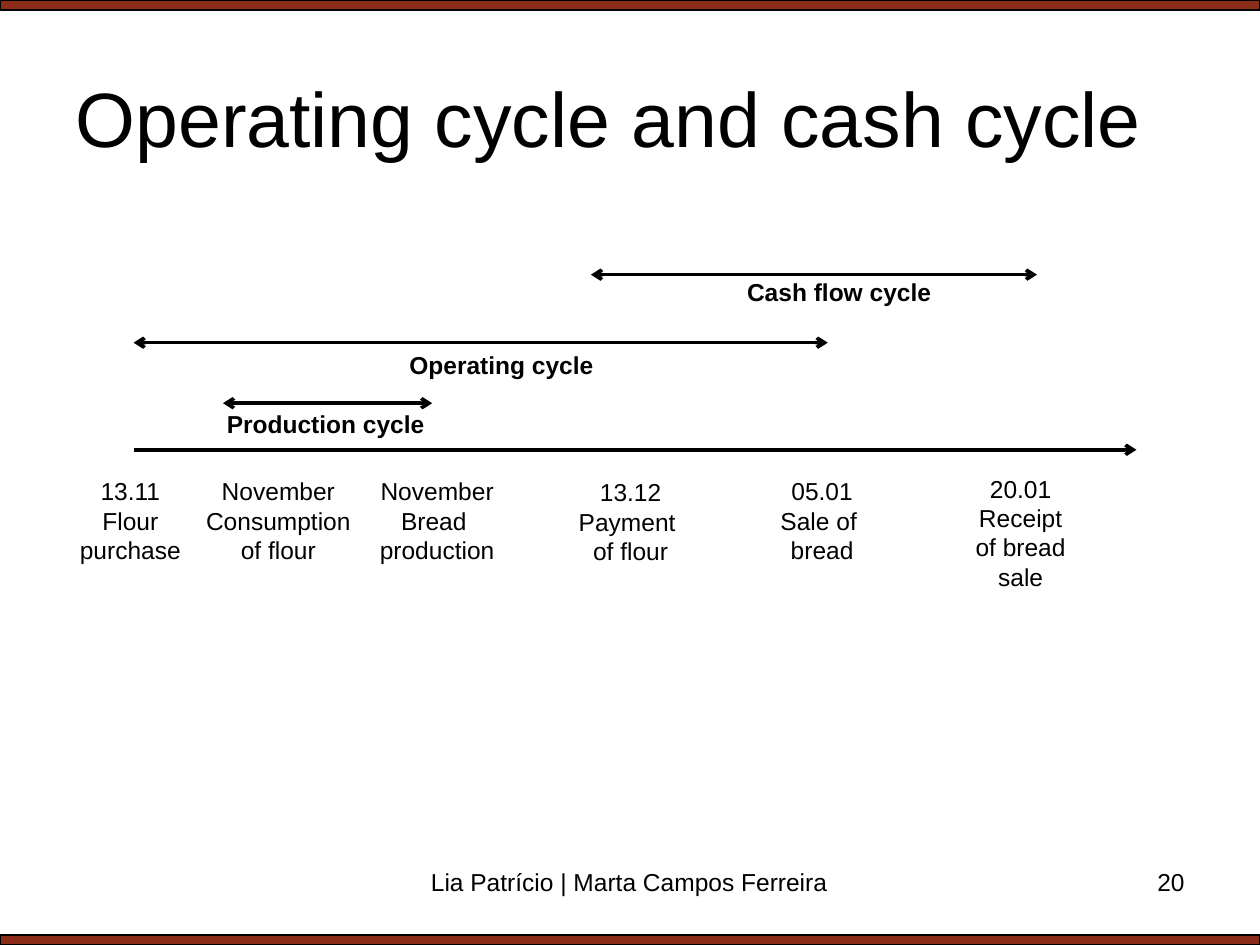
import pptx
import pptx.util
import pptx.dml.color
import pptx.enum.text
import pptx.enum.shapes
import pptx.oxml.ns
from lxml import etree

ALIGN = pptx.enum.text.PP_ALIGN
ANCHOR = pptx.enum.text.MSO_ANCHOR
COLS, ROWS = 100, 75


def color(code):
    return pptx.dml.color.RGBColor.from_string(code)


def assign(target, values):
    for name, value in values.items():
        setattr(target, name, value)


class Deck:
    font, ink, band = "Arial", "000000", "8C2D19"

    def __init__(self):
        self.prs = pptx.Presentation()
        assign(self.prs, {"slide_width": pptx.util.Inches(10),
                          "slide_height": pptx.util.Inches(7.5)})
        self.slide = self.prs.slides.add_slide(self.prs.slide_layouts[5])
        self.shapes = self.slide.shapes

    def grid(self, *spots):
        """Turn alternating columns and rows into lengths."""
        units = (self.prs.slide_width / COLS, self.prs.slide_height / ROWS)
        return [round(n * units[i % 2]) for i, n in enumerate(spots)]

    def fill(self, frame, lines, size, align, bold=False):
        frame.text = "\n".join(lines)
        for par in frame.paragraphs:
            par.alignment = align
            assign(par.font, {"name": self.font, "size": pptx.util.Pt(size),
                              "bold": bold})
            par.font.color.rgb = color(self.ink)

    def title(self, text, *box):
        shape = self.shapes.title
        assign(shape, dict(zip(("left", "top", "width", "height"),
                               self.grid(*box))))
        assign(shape.text_frame, {"vertical_anchor": ANCHOR.MIDDLE,
                                  "word_wrap": True})
        self.fill(shape.text_frame, [text], 44, ALIGN.LEFT)

    def text(self, lines, *box, align=ALIGN.CENTER, bold=False, wrap=False):
        frame = self.shapes.add_textbox(*self.grid(*box)).text_frame
        frame.word_wrap = wrap
        self.fill(frame, lines, 14, align, bold)

    def bar(self, *box):
        shape = self.shapes.add_shape(
            pptx.enum.shapes.MSO_SHAPE.RECTANGLE, *self.grid(*box))
        shape.shadow.inherit = False
        shape.fill.solid()
        shape.fill.fore_color.rgb = color(self.band)
        shape.line.color.rgb = color(self.ink)
        shape.line.width = pptx.util.Pt(0.75)

    def arrow(self, start, end, row, ends=("headEnd", "tailEnd")):
        link = self.shapes.add_connector(
            pptx.enum.shapes.MSO_CONNECTOR.STRAIGHT,
            *self.grid(start, row, end, row))
        link.line.color.rgb = color(self.ink)
        link.line.width = pptx.util.Pt(2)
        qn = pptx.oxml.ns.qn
        props = link.element.spPr
        for tip in ends:
            etree.SubElement(props.find(qn("a:ln")), qn("a:" + tip),
                             type="arrow")
        etree.SubElement(props, qn("a:effectLst"))


deck = Deck()

# Bands at the slide's top and bottom
for row in (0, ROWS - 0.8):
    deck.bar(0, row, COLS, 0.8)

deck.title("Operating cycle and cash cycle", 5, 3, 90, 12.5)

# Time axis and its events: left, top, width, lines
deck.arrow(10.6, 90.2, 35.7, ("tailEnd",))
events = [
    (5.3, 37.3, 10.1, ["13.11", "Flour", "purchase"]),
    (15.3, 37.3, 13.6, ["November", "Consumption", "of flour"]),
    (29.1, 37.3, 11.2, ["November", "Bread ", "production"]),
    (44.9, 37.4, 10.3, ["13.12", "Payment ", "of flour"]),
    (60.9, 37.3, 8.7, ["05.01", "Sale of ", "bread"]),
    (76.4, 37.1, 9.2, ["20.01", "Receipt", "of bread", "sale"]),
]
for left, top, width, lines in events:
    deck.text(lines, left, top, width, 1.1 + 2.33 * len(lines))

# Cycles: arrow start, end and row, then label left, top and width
cycles = [
    ("Operating cycle", 10.6, 65.7, 27.2, 31.4, 27.3, 16.8),
    ("Production cycle", 17.7, 34.3, 32, 16.9, 32, 17.9),
    ("Cash flow cycle", 46.9, 82.3, 21.8, 58.2, 21.5, 16.8),
]
for name, start, end, row, left, top, width in cycles:
    deck.arrow(start, end, row)
    deck.text([name], left, top, width, 3.4, bold=True)

# Footer and page number
deck.text(["Lia Patrício | Marta Campos Ferreira"], 32.6, 68.3, 34.7, 5.2,
          wrap=True)
deck.text(["20"], 71.7, 68.3, 23.3, 5.2, align=ALIGN.RIGHT, wrap=True)

deck.prs.save("out.pptx")
